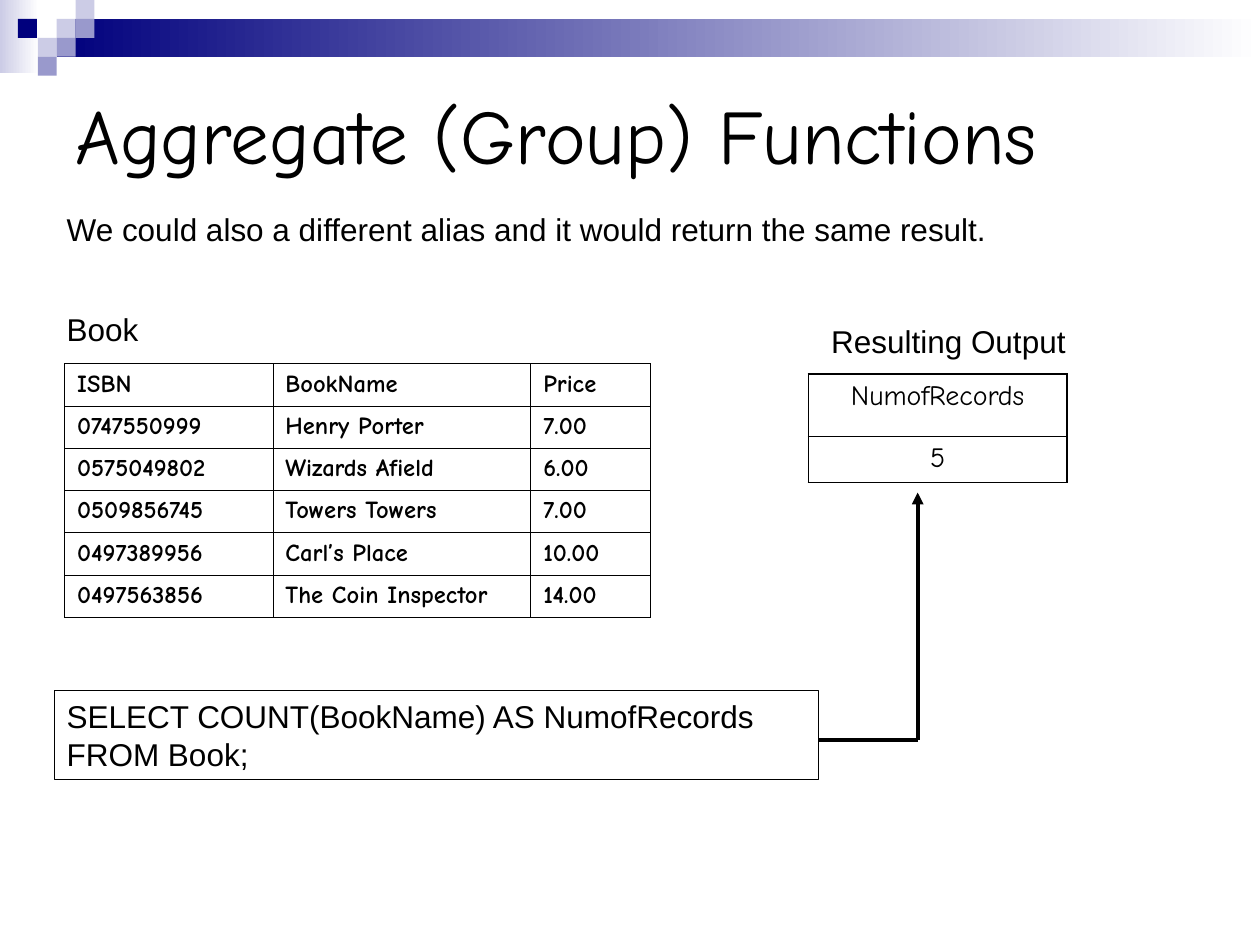
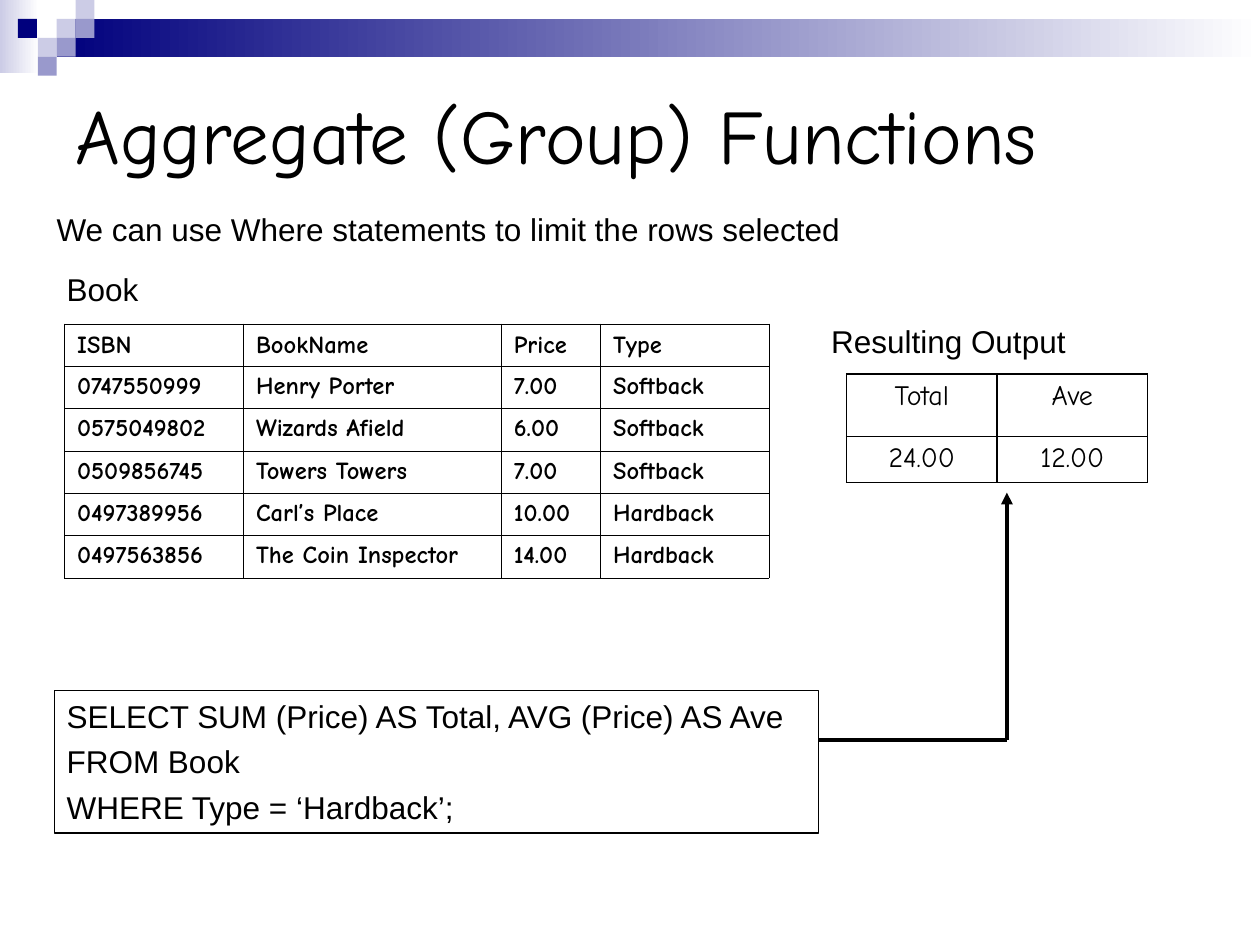
from dataclasses import dataclass

from lxml import etree
from pptx import Presentation
from pptx.dml.color import RGBColor
from pptx.enum.shapes import MSO_CONNECTOR, MSO_SHAPE
from pptx.enum.text import MSO_ANCHOR, PP_ALIGN
from pptx.oxml.ns import qn
from pptx.shapes.autoshape import Shape
from pptx.slide import Slide
from pptx.table import _Cell
from pptx.text.text import TextFrame
from pptx.util import Pt

NAVY = RGBColor(0x00, 0x00, 0x7D)
VIOLET = RGBColor(0x99, 0x99, 0xCC)
LAVENDER = RGBColor(0xCC, 0xCC, 0xE6)
WHITE = RGBColor(0xFF, 0xFF, 0xFF)
BLACK = RGBColor(0x00, 0x00, 0x00)

RECTANGLE = MSO_SHAPE.RECTANGLE
STRAIGHT = MSO_CONNECTOR.STRAIGHT
LEFT, CENTER = PP_ALIGN.LEFT, PP_ALIGN.CENTER
TOP, MIDDLE = MSO_ANCHOR.TOP, MSO_ANCHOR.MIDDLE

BODY_FONT = "Arial"
COMIC_FONT = "Comic Neue"
INSET_X, INSET_Y = 7.2, 3.6
TILE = 10.8

# Corner mosaic: left, top in tiles, and colour
MOSAIC = [
    (3, 1, LAVENDER), (4, 0, LAVENDER), (4, 1, VIOLET), (2, 2, LAVENDER),
    (0.95, 1, NAVY), (3, 2, VIOLET), (2, 3, VIOLET),
]

# Query box and its arrow
QUERY_LEFT, QUERY_TOP, QUERY_WIDTH = 31, 394.6, 436.7
ARROW_START_X, ARROW_Y, ARROW_TIP_Y = 468, 423, 281.5

BOOKS = [
    ("ISBN", "BookName", "Price", "Type"),
    ("0747550999", "Henry Porter", "7.00", "Softback"),
    ("0575049802", "Wizards Afield", "6.00", "Softback"),
    ("0509856745", "Towers Towers", "7.00", "Softback"),
    ("0497389956", "Carl’s Place", "10.00", "Hardback"),
    ("0497563856", "The Coin Inspector", "14.00", "Hardback"),
]


@dataclass(frozen=True)
class TextStyle:
    font: str
    size: float
    bold: bool = False
    align: PP_ALIGN = LEFT
    space_before: float = 0


@dataclass(frozen=True)
class GridStyle:
    text: TextStyle
    outer_line: float
    row_line: float
    header_anchor: MSO_ANCHOR
    body_fill: RGBColor | None


@dataclass(frozen=True)
class Grid:
    left: float
    top: float
    columns: list[float]
    row_heights: list[float]
    rows: list[tuple[str, ...]]


@dataclass(frozen=True)
class Example:
    intro: str
    intro_left: float
    book_label_top: float
    book_columns: list[float]
    query: list[str]
    query_height: float
    query_spacing: float
    result_left: float
    result_columns: list[float]
    result_rows: list[tuple[str, ...]]
    arrow_x: float


TITLE = TextStyle(COMIC_FONT, 44)
BODY = TextStyle(BODY_FONT, 18)
BOOK_GRID = GridStyle(TextStyle(COMIC_FONT, 14, bold=True), 0.34, 0.34, MIDDLE, WHITE)
RESULT_GRID = GridStyle(TextStyle(COMIC_FONT, 16, align=CENTER), 1.08, 0.45, TOP, None)

EXAMPLES = [
    Example(
        intro="We could also a different alias and it would return the same result.",
        intro_left=31, book_label_top=173.5, book_columns=[119, 147.4, 68.4],
        query=["SELECT COUNT(BookName) AS NumofRecords", "FROM Book;"],
        query_height=50.7, query_spacing=0,
        result_left=462, result_columns=[147.6],
        result_rows=[("NumofRecords",), ("5",)], arrow_x=524.4,
    ),
    Example(
        intro="We can use Where statements to limit the rows selected",
        intro_left=25.2, book_label_top=150.9, book_columns=[102.2, 147.4, 56.7, 96.4],
        query=["SELECT SUM (Price) AS Total, AVG (Price) AS Ave", "FROM Book",
               "WHERE Type = ‘Hardback’;"],
        query_height=81.4, query_spacing=4.5,
        result_left=483.8, result_columns=[86, 86],
        result_rows=[("Total", "Ave"), ("24.00", "12.00")], arrow_x=575.4,
    ),
]


def write_lines(frame: TextFrame, lines: list[str], style: TextStyle) -> None:
    for index, line in enumerate(lines):
        paragraph = frame.paragraphs[0] if index == 0 else frame.add_paragraph()
        paragraph.text = line
        paragraph.alignment = style.align
        if index and style.space_before:
            paragraph.space_before = Pt(style.space_before)
        font = paragraph.font
        font.name, font.size, font.bold = style.font, Pt(style.size), style.bold
        font.color.rgb = BLACK


def add_text(slide: Slide, left: float, top: float, width: float, height: float,
             lines: list[str], style: TextStyle, anchor: MSO_ANCHOR = TOP) -> Shape:
    box = slide.shapes.add_textbox(Pt(left), Pt(top), Pt(width), Pt(height))
    frame = box.text_frame
    frame.word_wrap = True
    frame.vertical_anchor = anchor
    frame.margin_left = frame.margin_right = Pt(INSET_X)
    frame.margin_top = frame.margin_bottom = Pt(INSET_Y)
    write_lines(frame, lines, style)
    return box


def add_block(slide: Slide, left: float, top: float, width: float, height: float,
              color: RGBColor, fade: bool = False) -> None:
    block = slide.shapes.add_shape(RECTANGLE, Pt(left), Pt(top), Pt(width), Pt(height))
    block.shadow.inherit = False
    block.line.fill.background()
    if not fade:
        block.fill.solid()
        block.fill.fore_color.rgb = color
        return
    block.fill.gradient()
    block.fill.gradient_angle = 0
    for stop, position, shade in zip(block.fill.gradient_stops, (0, 1), (color, WHITE)):
        stop.position = position
        stop.color.rgb = shade


def add_header_band(slide: Slide) -> None:
    add_block(slide, 0, 0, 22.3, 41.8, LAVENDER, fade=True)
    add_block(slide, 3 * TILE, TILE, 720 - 3 * TILE, 2 * TILE, NAVY, fade=True)
    for column, row, color in MOSAIC:
        add_block(slide, column * TILE, row * TILE, TILE, TILE, color)


def set_border(cell: _Cell, side: str, width: float) -> None:
    border = etree.SubElement(cell._tc.get_or_add_tcPr(), qn(f"a:ln{side}"), w=str(Pt(width)))
    fill = etree.SubElement(border, qn("a:solidFill"))
    etree.SubElement(fill, qn("a:srgbClr"), val=str(BLACK))


def add_grid(slide: Slide, grid: Grid, style: GridStyle) -> None:
    table = slide.shapes.add_table(
        len(grid.rows), len(grid.columns), Pt(grid.left), Pt(grid.top),
        Pt(sum(grid.columns)), Pt(sum(grid.row_heights))).table
    table.first_row = table.horz_banding = False
    for column, width in zip(table.columns, grid.columns):
        column.width = Pt(width)
    last = len(grid.rows) - 1
    for r, (values, height) in enumerate(zip(grid.rows, grid.row_heights)):
        table.rows[r].height = Pt(height)
        for c, value in enumerate(values):
            cell = table.cell(r, c)
            cell.margin_left = cell.margin_right = Pt(INSET_X)
            cell.margin_top = cell.margin_bottom = Pt(INSET_Y)
            cell.vertical_anchor = TOP if r else style.header_anchor
            set_border(cell, "L", style.outer_line)
            set_border(cell, "R", style.outer_line)
            set_border(cell, "T", style.row_line if r else style.outer_line)
            set_border(cell, "B", style.row_line if r < last else style.outer_line)
            if r and style.body_fill is not None:
                cell.fill.solid()
                cell.fill.fore_color.rgb = style.body_fill
            else:
                cell.fill.background()
            write_lines(cell.text_frame, [value], style.text)


def add_line(slide: Slide, start: tuple[float, float], end: tuple[float, float],
             arrow: bool = False) -> None:
    line = slide.shapes.add_connector(STRAIGHT, *map(Pt, start + end))
    line.line.color.rgb = BLACK
    line.line.width = Pt(2.25)
    if arrow:
        etree.SubElement(line.line._get_or_add_ln(), qn("a:tailEnd"), type="triangle")
    etree.SubElement(line._element.spPr, qn("a:effectLst"))


def add_example(slide: Slide, example: Example) -> None:
    # Heading and introduction
    add_header_band(slide)
    add_text(slide, 36, 36, 648, 81, ["Aggregate (Group) Functions"], TITLE, MIDDLE)
    add_text(slide, example.intro_left, 116.6, 652, 29, [example.intro], BODY)

    # Query with its arrow to the output
    query_style = TextStyle(BODY_FONT, 18, space_before=example.query_spacing)
    query_box = add_text(slide, QUERY_LEFT, QUERY_TOP, QUERY_WIDTH, example.query_height,
                         example.query, query_style)
    query_box.line.color.rgb = BLACK
    query_box.line.width = Pt(0.75)
    elbow = (example.arrow_x, ARROW_Y)
    add_line(slide, (ARROW_START_X, ARROW_Y), elbow)
    add_line(slide, elbow, (example.arrow_x, ARROW_TIP_Y), arrow=True)

    # Labels above the tables
    add_text(slide, 31, example.book_label_top, 209.5, 29, ["Book"], BODY)
    add_text(slide, 467.8, 180.7, 209.5, 29, ["Resulting Output"], BODY)

    # Output and source tables
    add_grid(slide, Grid(example.result_left, 213.8, example.result_columns,
                         [35.5, 26.4], example.result_rows), RESULT_GRID)
    book_rows = [row[:len(example.book_columns)] for row in BOOKS]
    add_grid(slide, Grid(36.9, example.book_label_top + 34.2, example.book_columns,
                         [24.2] * len(BOOKS), book_rows), BOOK_GRID)


def main() -> None:
    deck = Presentation()
    deck.slide_width, deck.slide_height = Pt(720), Pt(540)
    blank = deck.slide_layouts[6]
    for example in EXAMPLES:
        add_example(deck.slides.add_slide(blank), example)
    deck.save("out.pptx")


if __name__ == "__main__":
    main()
